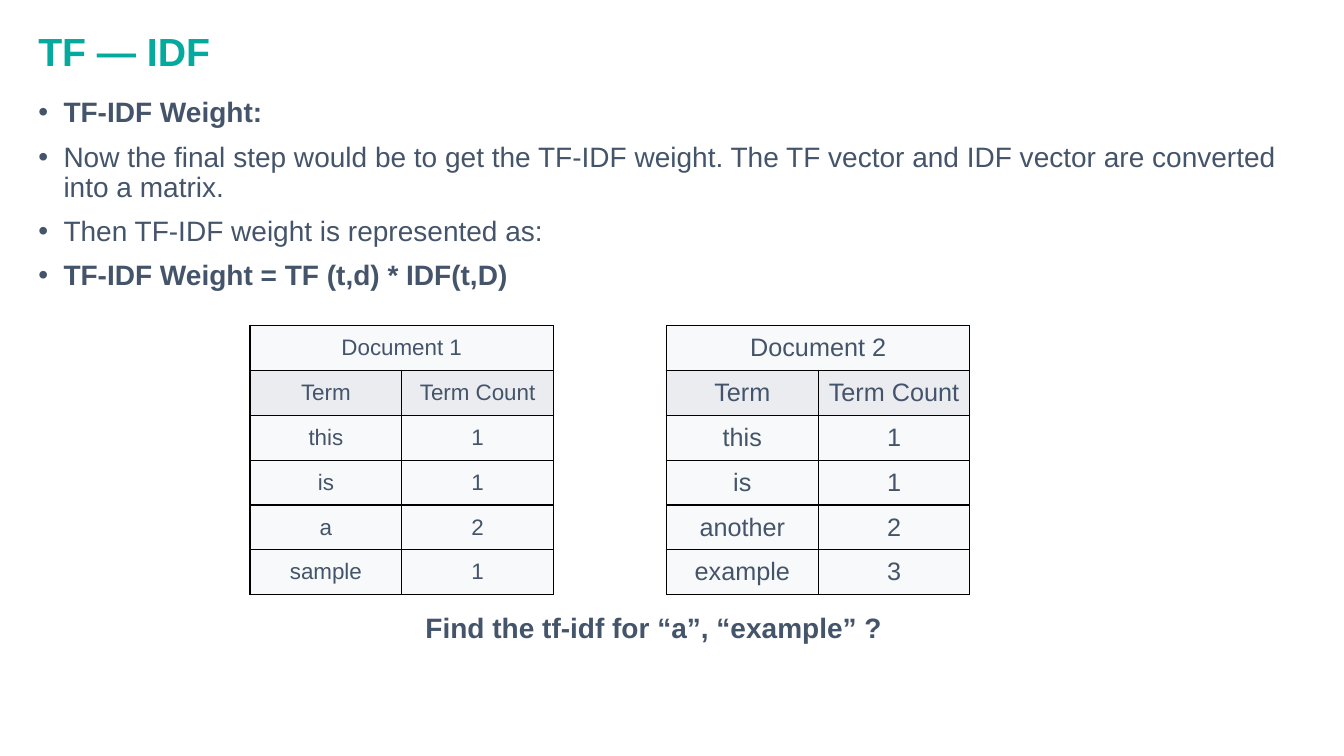
import dataclasses

import pptx
import pptx.dml.color
import pptx.enum.text
import pptx.oxml
import pptx.oxml.ns
import pptx.util
from pptx.util import Inches

Align = pptx.enum.text.PP_ALIGN
Anchor = pptx.enum.text.MSO_ANCHOR


@dataclasses.dataclass(frozen=True)
class Theme:
    font: str = "Arial"
    accent: str = "03AA9D"
    ink: str = "44546A"
    border: str = "000000"
    cell: str = "F8F9FA"
    header: str = "EAECF0"
    title_size: int = 28
    body_size: int = 20
    small_table_size: int = 16
    large_table_size: int = 18
    border_width: int = 1


THEME = Theme()
BULLETS = [
    ("TF-IDF Weight:", True),
    ("Now the final step would be to get the TF-IDF weight. "
     "The TF vector and IDF vector are converted into a matrix.", False),
    ("Then TF-IDF weight is represented as:", False),
    ("TF-IDF Weight = TF (t,d) * IDF(t,D)", True),
]
DOCUMENTS = [
    ("Document 1", [("this", 1), ("is", 1), ("a", 2), ("sample", 1)],
     2.48, THEME.small_table_size),
    ("Document 2", [("this", 1), ("is", 1), ("another", 2), ("example", 3)],
     6.61, THEME.large_table_size),
]


def rgb(value):
    return pptx.dml.color.RGBColor.from_string(value)


def format_runs(para, size, color, bold):
    for span in para.runs:
        span.font.name = THEME.font
        span.font.size = pptx.util.Pt(size)
        span.font.bold = bold
        span.font.color.rgb = rgb(color)


def format_para(para, size, color, bold, align=Align.LEFT):
    para.alignment = align
    para.line_spacing = 0.9
    para.space_before = pptx.util.Pt(10)
    para.space_after = pptx.util.Pt(0)
    format_runs(para, size, color, bold)


def place(box, left, top, width, height):
    box.left, box.top = Inches(left), Inches(top)
    box.width, box.height = Inches(width), Inches(height)
    frame = box.text_frame
    frame.word_wrap = True
    frame.auto_size = pptx.enum.text.MSO_AUTO_SIZE.NONE
    frame.vertical_anchor = Anchor.TOP


def fill_title(box, text):
    place(box, 0.28, 0.27, 11.5, 0.53)
    box.text_frame.text = text
    format_para(box.text_frame.paragraphs[0], THEME.title_size, THEME.accent, True)


def add_bullet(para):
    properties = para._p.get_or_add_pPr()
    properties.set("marL", str(Inches(0.25)))
    properties.set("indent", str(Inches(-0.25)))
    bullet = pptx.oxml.parse_xml(
        f'<a:buChar {pptx.oxml.ns.nsdecls("a")} char="•"/>')
    properties.append(bullet)


def fill_bullets(box, bullets):
    place(box, 0.28, 0.93, 12.65, 2.18)
    box.text_frame.text = "\n".join(text for text, bold in bullets)
    for para, (text, bold) in zip(box.text_frame.paragraphs, bullets):
        format_para(para, THEME.body_size, THEME.ink, bold)
        add_bullet(para)


def add_borders(cell):
    properties = cell._tc.get_or_add_tcPr()
    width = pptx.util.Pt(THEME.border_width)
    for side in ("lnL", "lnR", "lnT", "lnB"):
        properties.append(pptx.oxml.parse_xml(
            f'<a:{side} {pptx.oxml.ns.nsdecls("a")} w="{width}"><a:solidFill>'
            f'<a:srgbClr val="{THEME.border}"/></a:solidFill></a:{side}>'))


def fill_cell(cell, text, fill, size):
    add_borders(cell)
    cell.fill.solid()
    cell.fill.fore_color.rgb = rgb(fill)
    cell.vertical_anchor = Anchor.MIDDLE
    cell.margin_left = cell.margin_right = Inches(0.05)
    cell.text = text
    para = cell.text_frame.paragraphs[0]
    para.alignment = Align.CENTER
    format_runs(para, size, THEME.ink, False)


def add_term_table(page, name, counts, left, size):
    rows = [(name, ""), ("Term", "Term Count"), *counts]
    table = page.shapes.add_table(
        len(rows), 2, Inches(left), Inches(3.23), Inches(3.01), Inches(2.67)).table
    table.first_row = False
    table.horz_banding = False
    for row_index, row in enumerate(rows):
        fill = THEME.header if row_index == 1 else THEME.cell
        for column_index, value in enumerate(row):
            fill_cell(table.cell(row_index, column_index), str(value), fill, size)
    table.cell(0, 0).merge(table.cell(0, 1))


def add_question(page, text):
    box = page.shapes.add_textbox(0, 0, 0, 0)
    place(box, 0.16, 6.04, 12.65, 0.49)
    box.text_frame.text = text
    format_para(box.text_frame.paragraphs[0], THEME.body_size, THEME.ink, True,
                Align.CENTER)


def main():
    deck = pptx.Presentation()
    deck.slide_width, deck.slide_height = Inches(13.33), Inches(7.5)
    page = deck.slides.add_slide(deck.slide_layouts[1])
    fill_title(page.shapes.title, "TF — IDF")
    fill_bullets(page.placeholders[1], BULLETS)
    for name, counts, left, size in DOCUMENTS:
        add_term_table(page, name, counts, left, size)
    add_question(page, "Find the tf-idf for “a”, “example” ?")
    deck.save("out.pptx")


if __name__ == "__main__":
    main()
